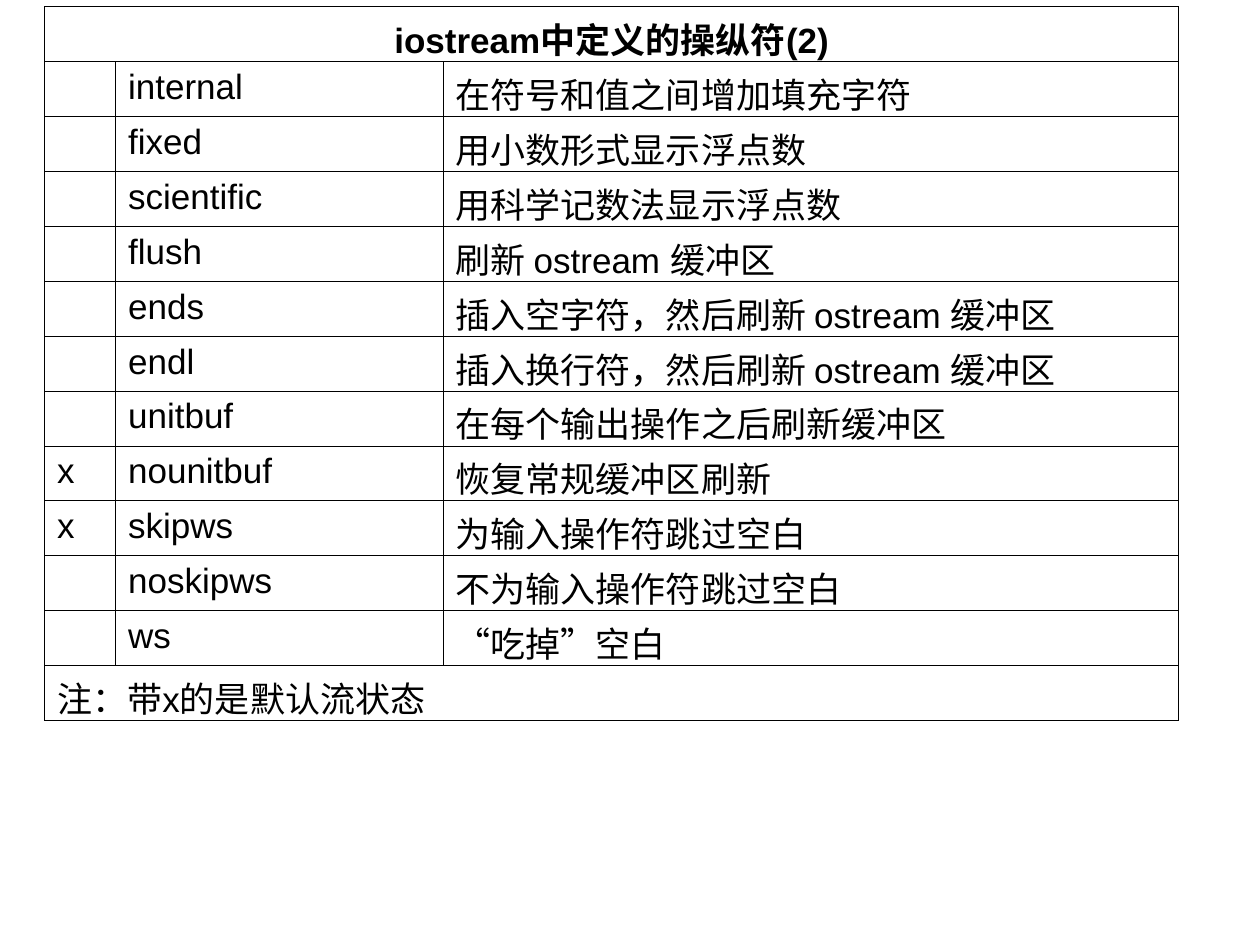
from lxml.etree import SubElement
from pptx import Presentation
from pptx.dml.color import RGBColor
from pptx.enum.text import PP_ALIGN
from pptx.oxml.ns import qn
from pptx.util import Pt

HEAD = "iostream中定义的操纵符(2)"
NOTE = "注：带x的是默认流状态"
ROWS = [
    ("", "internal", "在符号和值之间增加填充字符"),
    ("", "fixed", "用小数形式显示浮点数"),
    ("", "scientific", "用科学记数法显示浮点数"),
    ("", "flush", "刷新 ostream 缓冲区"),
    ("", "ends", "插入空字符，然后刷新 ostream 缓冲区"),
    ("", "endl", "插入换行符，然后刷新 ostream 缓冲区"),
    ("", "unitbuf", "在每个输出操作之后刷新缓冲区"),
    ("x", "nounitbuf", "恢复常规缓冲区刷新"),
    ("x", "skipws", "为输入操作符跳过空白"),
    ("", "noskipws", "不为输入操作符跳过空白"),
    ("", "ws", "“吃掉”空白"),
]
WIDTHS = [40.5, 187.2, 420.3]
LEFT, TOP, HIGH = 25.5, 3.75, 31.36
INK, PAPER = "000000", "FFFFFF"


def color(code):
    return RGBColor.from_string(code)


def frame(cell):
    props = cell._tc.get_or_add_tcPr()
    for side in ("a:lnL", "a:lnR", "a:lnT", "a:lnB"):
        line = SubElement(props, qn(side), w=str(Pt(0.45)))
        fill = SubElement(line, qn("a:solidFill"))
        SubElement(fill, qn("a:srgbClr"), val=INK)
    cell.fill.solid()
    cell.fill.fore_color.rgb = color(PAPER)
    cell.margin_left = cell.margin_right = Pt(7.2)
    cell.margin_top, cell.margin_bottom = Pt(3.6), Pt(-1.3)


def write(cell, text, bold=False):
    cell.text_frame.text = text
    for run in cell.text_frame.paragraphs[0].runs:
        font = run.font
        font.name, font.size, font.bold = "Arial", Pt(20), bold
        font.color.rgb = color(INK)


def main():
    deck = Presentation()
    deck.slide_width, deck.slide_height = Pt(720), Pt(540)
    slide = deck.slides.add_slide(deck.slide_layouts[6])
    lines = [(HEAD,), *ROWS, (NOTE,)]
    count = len(lines)
    table = slide.shapes.add_table(
        count, len(WIDTHS), Pt(LEFT), Pt(TOP), Pt(sum(WIDTHS)), Pt(HIGH * count)
    ).table
    table.first_row = table.horz_banding = False
    for col, width in zip(table.columns, WIDTHS):
        col.width = Pt(width)
    for num, (row, line) in enumerate(zip(table.rows, lines)):
        row.height = Pt(HIGH)
        for cell in row.cells:
            frame(cell)
        if len(line) == 1:
            table.cell(num, 0).merge(table.cell(num, len(WIDTHS) - 1))
        for cell, text in zip(row.cells, line):
            if text:
                write(cell, text, num == 0)
    table.cell(0, 0).text_frame.paragraphs[0].alignment = PP_ALIGN.CENTER
    deck.save("out.pptx")


if __name__ == "__main__":
    main()
